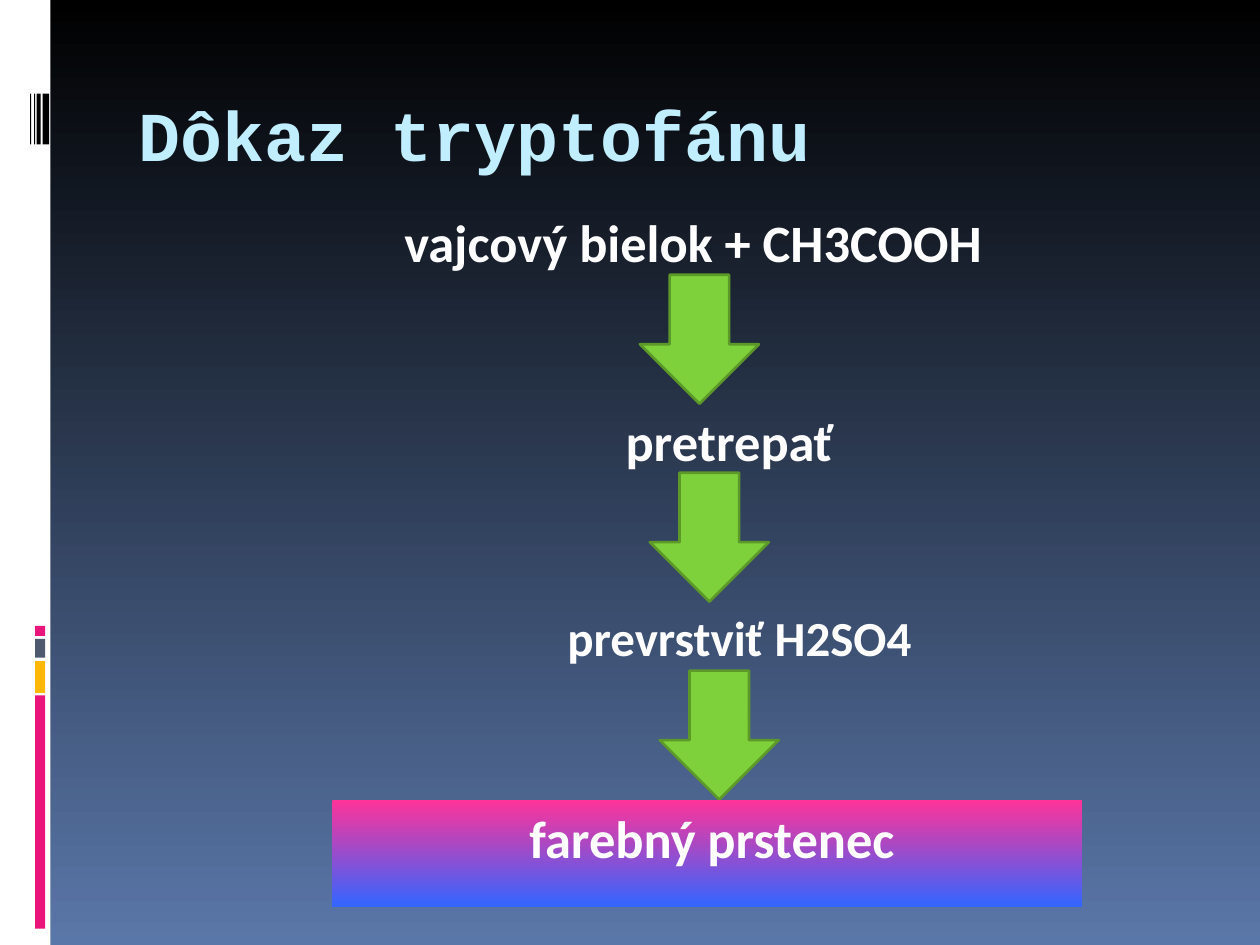
from pptx import Presentation
from pptx.dml.color import RGBColor
from pptx.enum.shapes import MSO_SHAPE as Preset
from pptx.enum.text import MSO_ANCHOR as Anchor, PP_ALIGN as Align
from pptx.util import Cm, Pt

TITLE = "Dôkaz tryptofánu"
STEPS = [
    ("vajcový bielok + CH3COOH ", 30, (6.3, 4.11, 15.39, 2.16)),
    ("pretrepať", 30, (3.81, 8.13, 21.59, 2.18)),
    ("prevrstviť H2SO4", 28, (7.11, 12.12, 15.39, 2.16)),
]
RESULT = ("farebný prstenec", 30, (6.7, 16.12, 15.11, 2.16))

ARROW_START = (12.9, 5.54)
ARROW_STEP = (0.2, 3.99)
ARROW_SIZE = (2.4, 2.6)

SIDEBAR = (0, 0, 1.02, 19.05)
COLOUR_BARS = [
    (12.62, 0.2, "EA157A"),
    (12.88, 0.38, "4E5B6F"),
    (13.33, 0.64, "FEB80A"),
    (14.02, 4.7, "EA157A"),
]
BARCODE = [(0.61, 0.02), (0.69, 0.02), (0.74, 0.08), (0.86, 0.13)]


def colour(value):
    return RGBColor.from_string(value)


def set_gradient(fill, start, end):
    fill.gradient()
    fill.gradient_angle = 270
    for stop, value in zip(fill.gradient_stops, (start, end)):
        stop.color.rgb = colour(value)


def add_preset(slide, preset, box, fill=None, line=None):
    shape = slide.shapes.add_shape(preset, *map(Cm, box))
    shape.shadow.inherit = False
    if fill:
        shape.fill.solid()
        shape.fill.fore_color.rgb = colour(fill)
    if line:
        shape.line.color.rgb = colour(line)
        shape.line.width = Pt(1.5)
    else:
        shape.line.fill.background()
    return shape


def write_text(shape, text, size=30, font="Calibri", value="FFFFFF",
               align=Align.CENTER, anchor=Anchor.TOP, hanging=True):
    frame = shape.text_frame
    frame.word_wrap = True
    frame.vertical_anchor = anchor
    paragraph = frame.paragraphs[0]
    paragraph.text = text
    paragraph.alignment = align
    if hanging:
        properties = paragraph._p.get_or_add_pPr()
        properties.set("marL", str(Cm(1.14)))
        properties.set("indent", str(Cm(-0.94)))
    run_font = paragraph.runs[0].font
    run_font.name = font
    run_font.size = Pt(size)
    run_font.bold = True
    run_font.color.rgb = colour(value)


def main():
    presentation = Presentation()
    presentation.slide_width, presentation.slide_height = Cm(25.4), Cm(19.05)
    slide = presentation.slides.add_slide(presentation.slide_layouts[5])
    set_gradient(slide.background.fill, "000000", "5A77A9")

    add_preset(slide, Preset.RECTANGLE, SIDEBAR, "FFFFFF")
    for top, height, value in COLOUR_BARS:
        add_preset(slide, Preset.RECTANGLE, (0.71, top, 0.2, height), value)
    for left, width in BARCODE:
        add_preset(slide, Preset.RECTANGLE, (left, 1.89, width, 1.02), "000000")

    title = slide.shapes.title
    title.left, title.top, title.width, title.height = map(Cm, (2.54, 1.42, 21.59, 2.54))
    write_text(title, TITLE, size=40, font="Courier New", value="C1EEFF",
               align=Align.LEFT, anchor=Anchor.MIDDLE, hanging=False)

    for index, (text, size, box) in enumerate(STEPS):
        write_text(slide.shapes.add_textbox(*map(Cm, box)), text, size=size)
        corner = [start + index * step for start, step in zip(ARROW_START, ARROW_STEP)]
        add_preset(slide, Preset.DOWN_ARROW, (*corner, *ARROW_SIZE), "7FD13B", "5C9929")

    text, size, box = RESULT
    result = add_preset(slide, Preset.RECTANGLE, box)
    set_gradient(result.fill, "FF3399", "3366FF")
    write_text(result, text, size=size)

    presentation.save("out.pptx")


if __name__ == "__main__":
    main()
